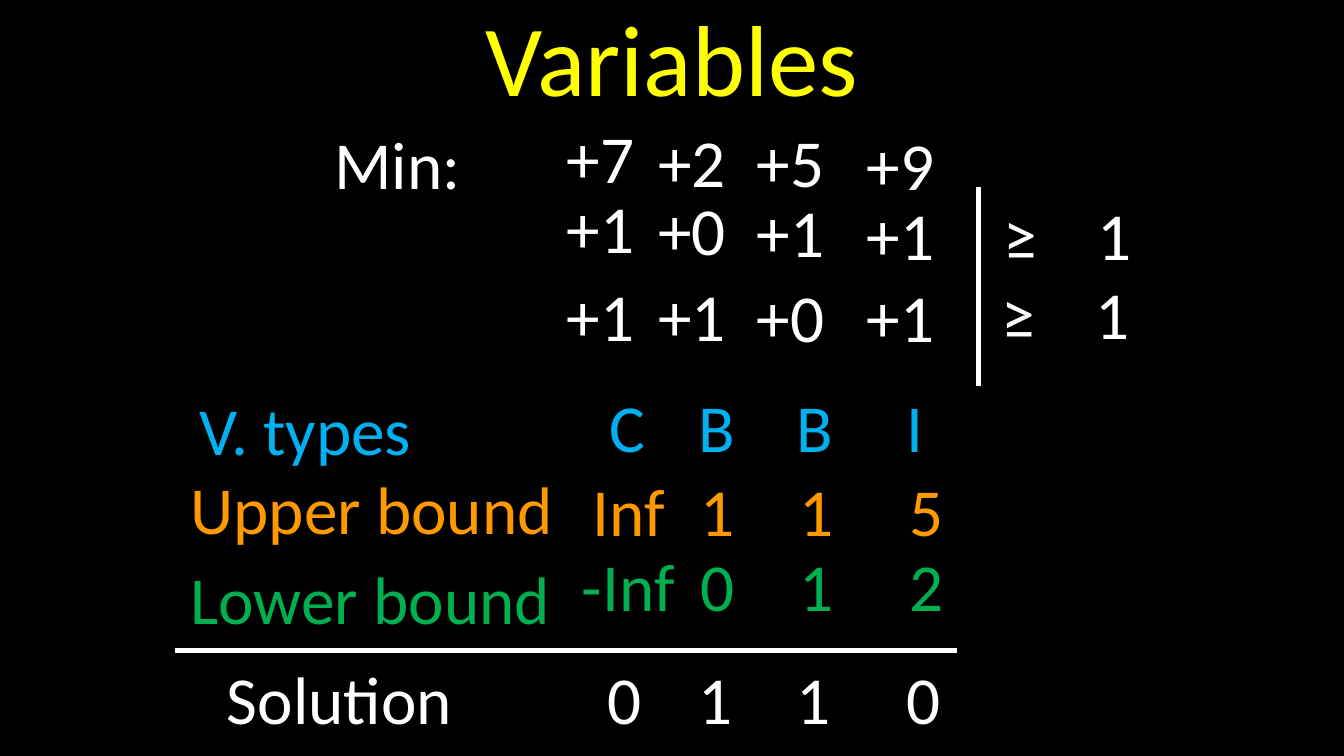
from lxml import etree
from pptx import Presentation
from pptx.dml.color import RGBColor
from pptx.enum.shapes import MSO_CONNECTOR
from pptx.enum.text import MSO_ANCHOR, MSO_AUTO_SIZE, PP_ALIGN
from pptx.oxml.ns import qn
from pptx.util import Pt

LINE = MSO_CONNECTOR.STRAIGHT
TOP, CENTER = MSO_ANCHOR.TOP, PP_ALIGN.CENTER
GROW, FIXED = MSO_AUTO_SIZE.SHAPE_TO_FIT_TEXT, MSO_AUTO_SIZE.NONE

THEME = {
    "font": "Calibri", "title_size": 54, "body_size": 36, "rule": 3,
    "background": RGBColor(0, 0, 0), "text": RGBColor(255, 255, 255),
    "title": RGBColor(255, 255, 0), "types": RGBColor(0, 176, 240),
    "upper": RGBColor(255, 153, 0), "lower": RGBColor(0, 176, 80),
}
ROW_HEIGHT = 50.9


def style(p, color, size):
    for r in p.runs:
        r.font.name = THEME["font"]
        r.font.size = Pt(THEME[size])
        r.font.color.rgb = THEME[color]


def add_text(text, left, top, width, color="text", wrap=False, tab=None):
    box = s.shapes.add_textbox(Pt(left), Pt(top), Pt(width), Pt(ROW_HEIGHT))
    tf = box.text_frame
    tf.word_wrap = wrap
    tf.auto_size = GROW
    p = tf.paragraphs[0]
    p.text = text
    if tab:
        tabs = etree.SubElement(p._p.get_or_add_pPr(), qn("a:tabLst"))
        etree.SubElement(tabs, qn("a:tab"), pos=str(Pt(tab)), algn="l")
    style(p, color, "body_size")


prs = Presentation()
prs.slide_width, prs.slide_height = Pt(720), Pt(405)
s = prs.slides.add_slide(prs.slide_layouts[5])
s.background.fill.solid()
s.background.fill.fore_color.rgb = THEME["background"]

# Title
title = s.shapes.title
title.left, title.top, title.width, title.height = Pt(252), Pt(-6), Pt(216), Pt(72.7)
tf = title.text_frame
tf.text = "Variables"
tf.word_wrap = False
tf.auto_size = FIXED
tf.vertical_anchor = TOP
tf.paragraphs[0].alignment = CENTER
style(tf.paragraphs[0], "title", "title_size")

# Objective and constraint coefficients, one column per variable
add_text("Min:", 172, 62, 90.7)
coefficients = [
    (296.6, ["+7", "+1", "+1"], [59, 96.5, 143.3]),
    (345.6, ["+2", "+0", "+1"], [61, 97.2, 143.3]),
    (398.2, ["+5", "+1", "+0"], [61, 98.6, 144]),
    (457.2, ["+9", "+1", "+1"], [62.6, 100, 144]),
]
for left, values, tops in coefficients:
    for value, top in zip(values, tops):
        add_text(value, left, top, 54, wrap=True)

# Right-hand sides
for left, top in [(530.6, 100), (529.2, 142.6)]:
    add_text("≥\t1", left, top, 92, wrap=True, tab=50.5)

# Variable types, bounds and solution: label, then (text, left, width) cells
DIGIT, LETTER = 33.1, 34.6
rows = [
    ("types", ("V. types", 100, 128.9), 204.5, 203,
     [("C", 319.7, LETTER), ("B", 367.2, LETTER), ("B", 419.8, LETTER), ("I", 478.8, 23.8)]),
    ("upper", ("Upper bound", 95, 210.2), 247, 247.7,
     [("Inf", 310.3, 54), ("1", 368, DIGIT), ("1", 421.2, DIGIT), ("5", 480.2, DIGIT)]),
    ("lower", ("Lower bound", 95, 208.8), 295.2, 288,
     [("-Inf", 304.6, 64.8), ("0", 368, DIGIT), ("1", 421.2, DIGIT), ("2", 480.2, DIGIT)]),
    ("text", ("Solution", 114.5, 136.8), 348.5, 348.5,
     [("0", 318.2, DIGIT), ("1", 367.2, DIGIT), ("1", 419.8, DIGIT), ("0", 478.8, DIGIT)]),
]
for color, label, label_top, values_top, values in rows:
    text, left, width = label
    add_text(text, left, label_top, width, color)
    for text, left, width in values:
        add_text(text, left, values_top, width, color)

# Rules beside the constraints and above the solution
for x1, y1, x2, y2 in [(524.2, 206.6, 524.2, 100), (93.6, 348.5, 512.6, 348.5)]:
    rule = s.shapes.add_connector(LINE, Pt(x1), Pt(y1), Pt(x2), Pt(y2))
    rule.line.color.rgb = THEME["text"]
    rule.line.width = Pt(THEME["rule"])
    etree.SubElement(rule._element.spPr, qn("a:effectLst"))

prs.save("out.pptx")
